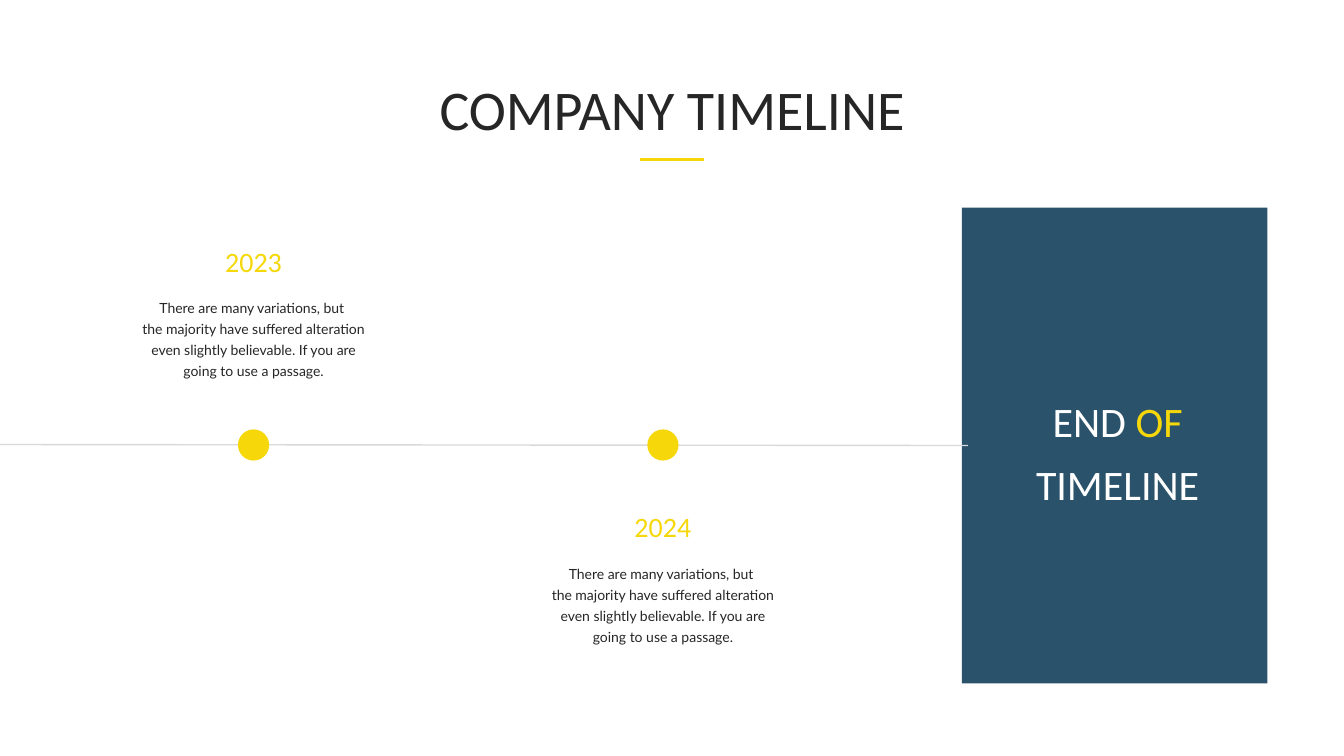
from lxml import etree
from pptx import Presentation
from pptx.dml.color import RGBColor
from pptx.enum.shapes import MSO_CONNECTOR, MSO_SHAPE
from pptx.enum.text import MSO_AUTO_SIZE, PP_ALIGN
from pptx.oxml.ns import qn
from pptx.util import Inches, Pt

RECT, OVAL = MSO_SHAPE.RECTANGLE, MSO_SHAPE.OVAL
STRAIGHT = MSO_CONNECTOR.STRAIGHT
CENTER = PP_ALIGN.CENTER
GROW = MSO_AUTO_SIZE.SHAPE_TO_FIT_TEXT
COLORS = {
    "panel": "13415C",
    "accent": "F6D80A",
    "text": "262626",
    "axis": "D9D9D9",
    "white": "FFFFFF",
}

prs = Presentation()
prs.slide_width, prs.slide_height = Inches(13.33), Inches(7.5)
s = prs.slides.add_slide(prs.slide_layouts[6])


def add_text(x, y, w, h, paragraphs, size, font, spacing):
    tf = s.shapes.add_textbox(Inches(x), Inches(y), Inches(w), Inches(h)).text_frame
    tf.word_wrap = True
    tf.auto_size = GROW
    for i, runs in enumerate(paragraphs):
        p = tf.add_paragraph() if i else tf.paragraphs[0]
        p.alignment = CENTER
        p.line_spacing = Pt(spacing)
        for text, color in runs:
            r = p.add_run()
            r.text = text
            r.font.size = Pt(size)
            r.font.name = font
            r.font.color.rgb = RGBColor.from_string(COLORS[color])


def add_solid(kind, x, y, w, h, color):
    sp = s.shapes.add_shape(kind, Inches(x), Inches(y), Inches(w), Inches(h))
    sp.shadow.inherit = False
    sp.fill.solid()
    sp.fill.fore_color.rgb = RGBColor.from_string(COLORS[color])
    sp.line.fill.background()
    return sp


panel = add_solid(RECT, 9.54, 2.06, 3.03, 4.72, "panel")
panel_color = panel.fill._xPr.find(qn("a:solidFill"))[0]
etree.SubElement(panel_color, qn("a:alpha"), val="90000")

for x1, y1, x2, y2, color, width in [
    (0, 4.41, 9.6, 4.42, "axis", 1),
    (6.35, 1.58, 6.98, 1.58, "accent", 2),
]:
    line = s.shapes.add_connector(STRAIGHT, Inches(x1), Inches(y1), Inches(x2), Inches(y2))
    line.line.color.rgb = RGBColor.from_string(COLORS[color])
    line.line.width = Pt(width)
    etree.SubElement(line._element.spPr, qn("a:effectLst"))

add_text(3.22, 0.73, 6.89, 0.76, [[("COMPANY TIMELINE", "text")]], 40, "Calibri", 45)

description = [
    [("There are many variations, but ", "text")],
    [("the majority have suffered alteration even slightly believable. "
      "If you are going to use a passage.", "text")],
]
for year, center, top in [("2024", 6.575, 5.06), ("2023", 2.515, 2.43)]:
    add_solid(OVAL, center - 0.155, 4.26, 0.31, 0.31, "accent")
    add_text(center - 1.265, top + 0.455, 2.53, 0.92, description, 10, "Lato", 15)
    add_text(center - 0.975, top, 1.95, 0.4, [[(year, "accent")]], 20, "Calibri", 20)

closing = [[("END ", "white"), ("OF", "accent"), (" TIMELINE", "white")]]
add_text(9.89, 3.75, 2.39, 1.33, closing, 30, "Calibri", 45)

prs.save("out.pptx")
